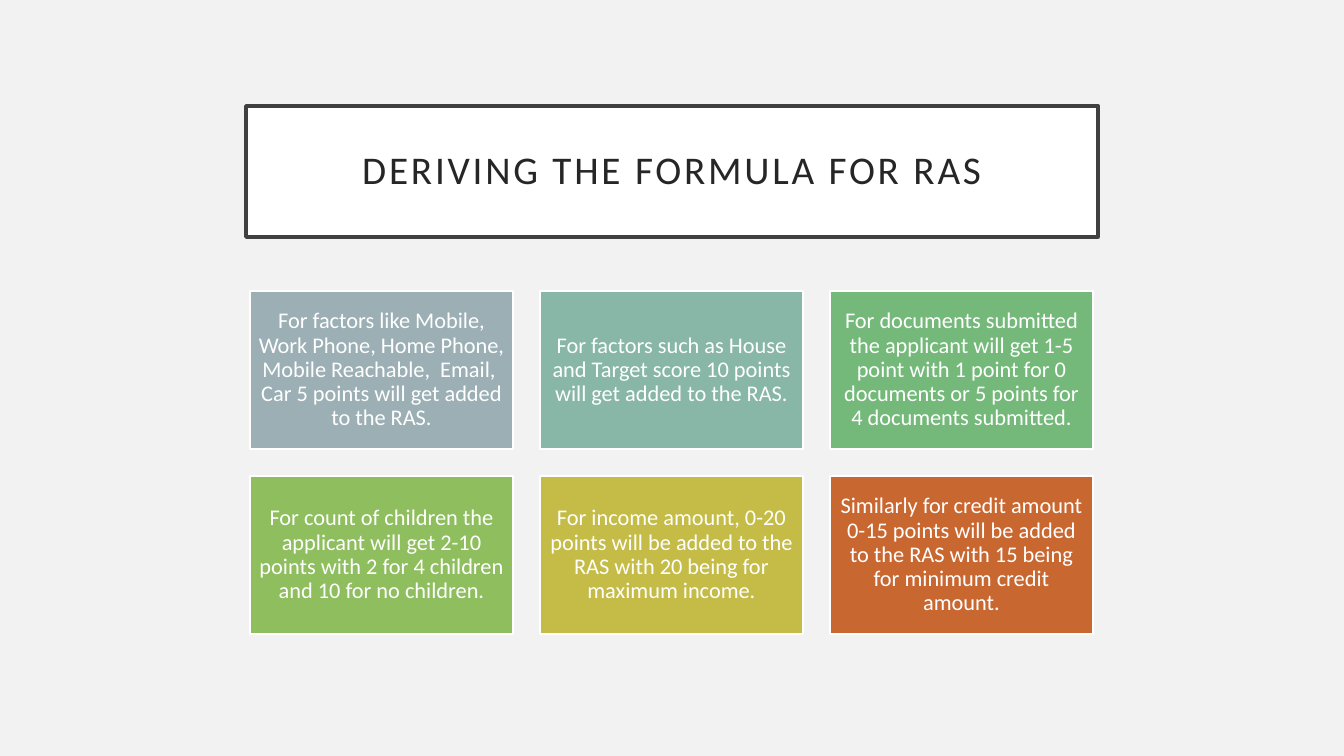
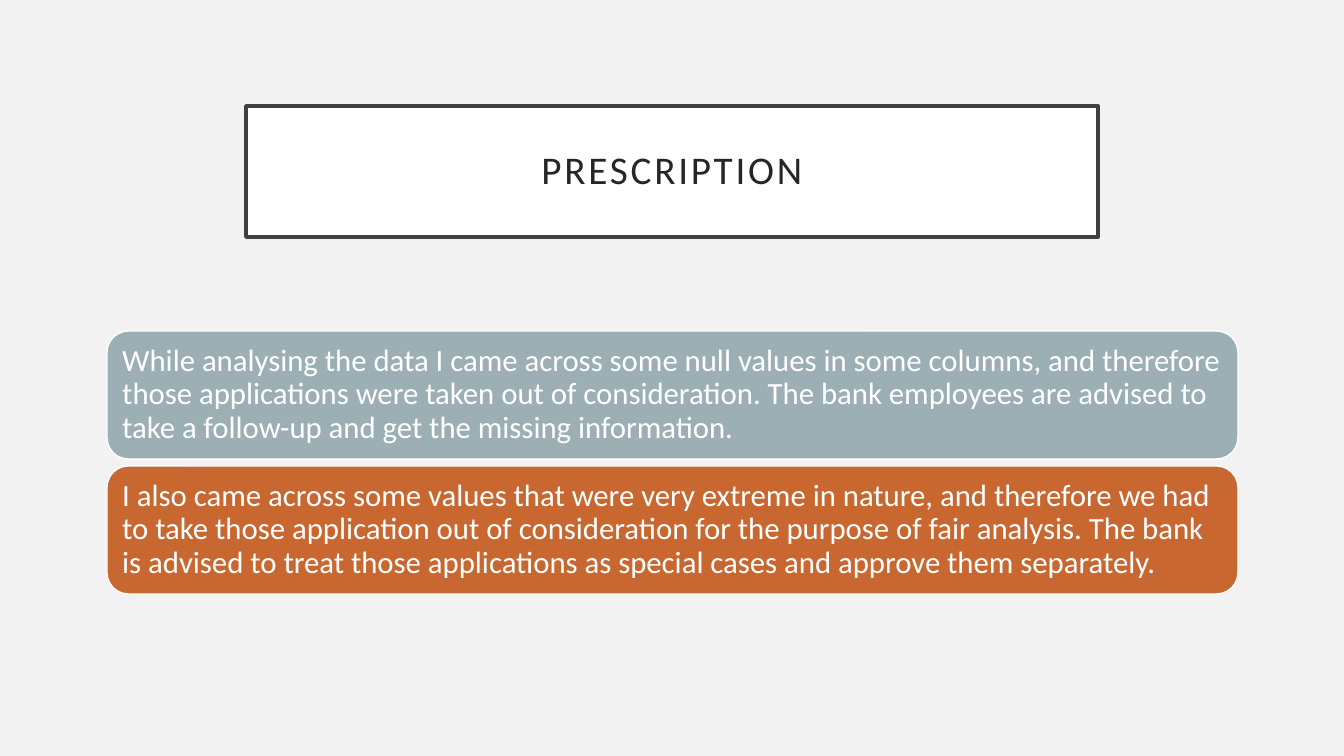
from pptx import Presentation
from pptx.dml.color import RGBColor
from pptx.enum.shapes import MSO_SHAPE
from pptx.enum.text import MSO_ANCHOR, MSO_AUTO_SIZE, PP_ALIGN
from pptx.util import Emu, Pt

RECT, ROUNDED = MSO_SHAPE.RECTANGLE, MSO_SHAPE.ROUNDED_RECTANGLE
MIDDLE, NO_FIT = MSO_ANCHOR.MIDDLE, MSO_AUTO_SIZE.NONE
LEFT, CENTER = PP_ALIGN.LEFT, PP_ALIGN.CENTER

WIDTH, HEIGHT = 1344, 756
SCALE = 12192000 / WIDTH  # EMU per px
TITLE_ONLY = 5
FONT = "Calibri"
COLORS = {
    "background": "F2F2F2", "white": "FFFFFF", "frame": "404040", "title": "262626",
    "slate": "9BAFB5", "teal": "88B6A7", "green": "74B97A",
    "lime": "8EBE5E", "olive": "C4BC47", "orange": "C96731",
}


def px(length):
    return Emu(round(length * SCALE))


def color(name):
    return RGBColor.from_string(COLORS[name])


class Deck:
    """Holds the shared style and the current slide."""

    def __init__(self):
        self.prs = Presentation()
        self.prs.slide_width, self.prs.slide_height = px(WIDTH), px(HEIGHT)
        background = self.prs.slide_master.background.fill
        background.solid()
        background.fore_color.rgb = color("background")
        self.slide = None

    def paint(self, shape, fill, line, line_width):
        shape.fill.solid()
        shape.fill.fore_color.rgb = color(fill)
        shape.line.color.rgb = color(line)
        shape.line.width = Pt(line_width)

    def set_text(self, shape, text, size, ink, align, inset):
        frame = shape.text_frame
        frame.text = text
        frame.word_wrap = True
        frame.auto_size = NO_FIT
        frame.vertical_anchor = MIDDLE
        frame.margin_left = frame.margin_right = px(inset)
        frame.margin_top = frame.margin_bottom = px(inset)
        paragraph = frame.paragraphs[0]
        paragraph.alignment = align
        paragraph.line_spacing = 0.9
        paragraph.font.name = FONT
        paragraph.font.size = Pt(size)
        paragraph.font.color.rgb = color(ink)
        return paragraph

    def add_slide(self, heading):
        self.slide = self.prs.slides.add_slide(self.prs.slide_layouts[TITLE_ONLY])
        title = self.slide.shapes.title
        title.left, title.top = px(246), px(106)
        title.width, title.height = px(852), px(131)
        self.paint(title, "white", "frame", 2.5)
        paragraph = self.set_text(title, heading, 28, "title", CENTER, 20)
        # Letter spacing of 2 pt
        paragraph._p.get_or_add_pPr().get_or_add_defRPr().set("spc", "200")

    def add_card(self, kind, box, fill, text, size, align, inset):
        card = self.slide.shapes.add_shape(kind, *map(px, box))
        card.shadow.inherit = False
        self.paint(card, fill, "white", 1)
        self.set_text(card, text, size, "white", align, inset)


SCORING_RULES = [
    ("slate", "For factors like Mobile, Work Phone, Home Phone, Mobile Reachable,  Email,  "
              "Car 5 points will get added to the RAS."),
    ("teal", "For factors such as House and Target score 10 points will get added to the RAS."),
    ("green", "For documents submitted the applicant will get 1-5 point with 1 point for 0 "
              "documents or 5 points for 4 documents submitted."),
    ("lime", "For count of children the applicant will get 2-10 points with 2 for 4 children "
             "and 10 for no children."),
    ("olive", "For income amount, 0-20 points will be added to the RAS with 20 being for "
              "maximum income."),
    ("orange", "Similarly for credit amount 0-15 points will be added to the RAS with 15 being "
               "for minimum credit amount."),
]

ADVICE = [
    ("slate", "While analysing the data I came across some null values in some columns, and "
              "therefore those applications were taken out of consideration. The bank employees "
              "are advised to take a follow-up and get the missing information."),
    ("orange", "I also came across some values that were very extreme in nature, and therefore "
               "we had to take those application out of consideration for the purpose of fair "
               "analysis. The bank is advised to treat those applications as special cases and "
               "approve them separately."),
]


def main():
    deck = Deck()

    # Scoring rules in a grid of three columns
    deck.add_slide("DERIVING THE FORMULA FOR RAS")
    rule_width, rule_height, gap = 263, 158, 27
    for index, (fill, rule) in enumerate(SCORING_RULES):
        row, column = divmod(index, 3)
        box = (250 + column * (rule_width + gap), 291 + row * (rule_height + gap),
               rule_width, rule_height)
        deck.add_card(RECT, box, fill, rule, 16, CENTER, 7)

    # Advice in stacked bars
    deck.add_slide("PRESCRIPTION")
    bar_height, gap = 128, 7
    for index, (fill, advice) in enumerate(ADVICE):
        box = (107, 331 + index * (bar_height + gap), 1131, bar_height)
        deck.add_card(ROUNDED, box, fill, advice, 22, LEFT, 9)

    deck.prs.save("out.pptx")


if __name__ == "__main__":
    main()
